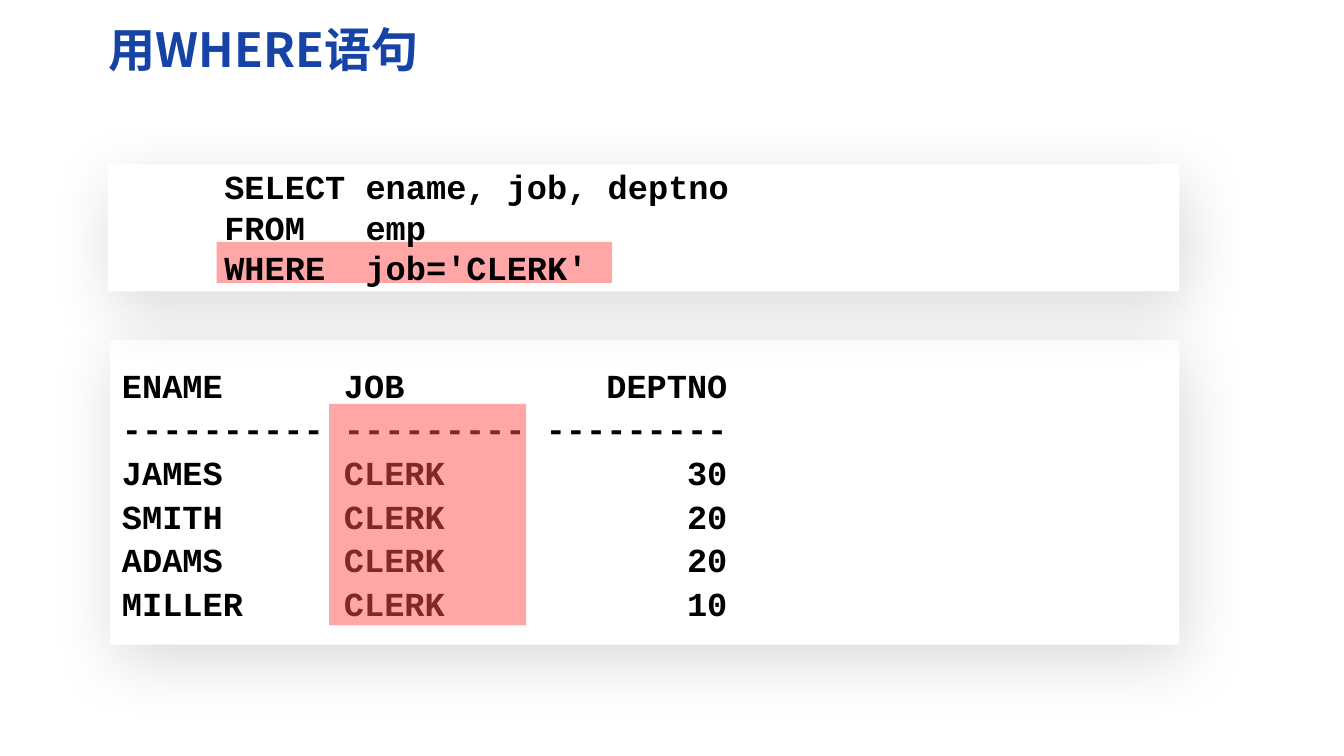
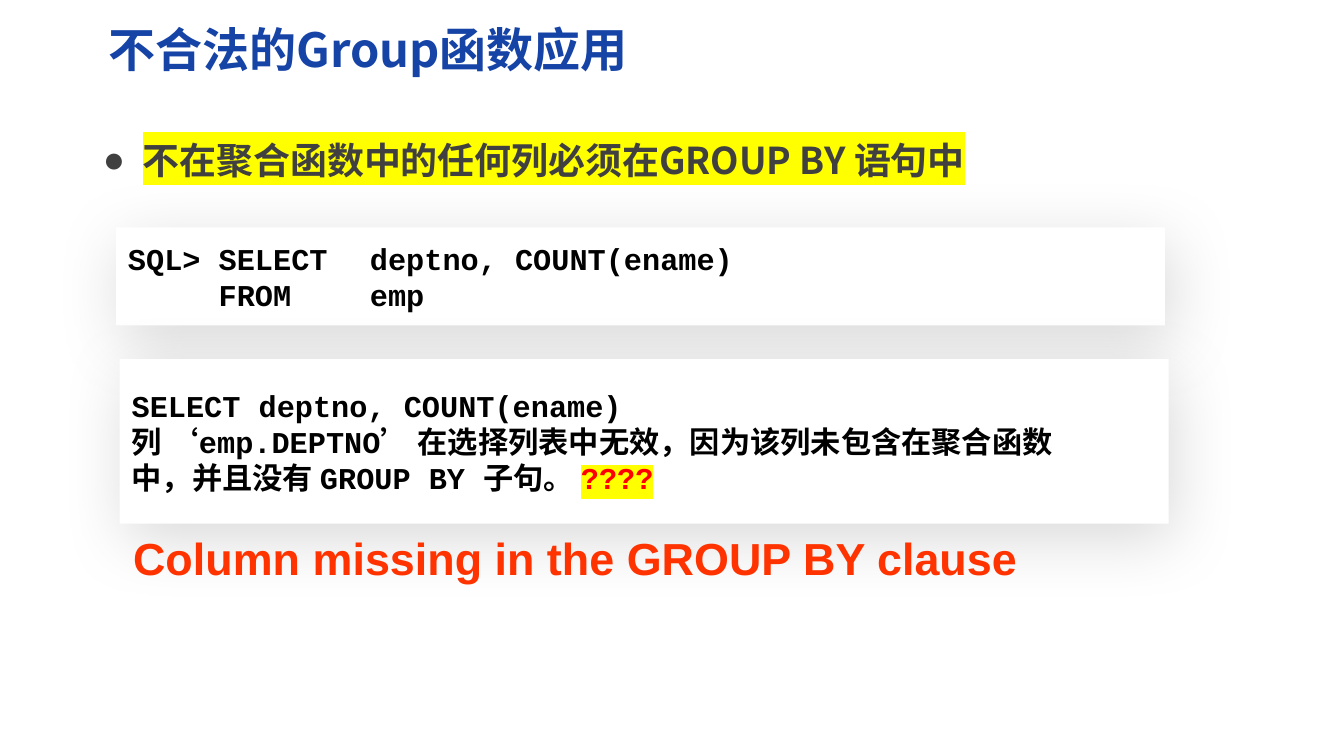
import pptx
import pptx.util
import pptx.dml.color
import pptx.enum.shapes
import pptx.enum.text
import pptx.oxml
import pptx.oxml.ns
from lxml import etree

Inches, Pt = pptx.util.Inches, pptx.util.Pt
qn = pptx.oxml.ns.qn
ANCHOR = pptx.enum.text.MSO_ANCHOR
LEFT = pptx.enum.text.PP_ALIGN.LEFT

COLORS = {
    "title": "1543A6", "body": "404040", "code": "000000", "panel": "FFFFFF",
    "mark": "FF5050", "highlight": "FFFF00", "error": "FF0000", "note": "FF3300",
}
CJK, MONO, SANS = "Noto Sans CJK SC", "Courier New", "Arial"
TITLE_ONLY, TITLE_BODY = 5, 1


def rgb(name):
    return pptx.dml.color.RGBColor.from_string(COLORS[name])


def sub(parent, tag, **attrs):
    return etree.SubElement(parent, qn(tag), attrs)


def set_font(p, size, color, name):
    """Bold text in one face, with a common face for Chinese characters."""
    p.alignment = LEFT
    font = p.font
    font.size, font.bold = Pt(size), True
    font.color.rgb = rgb(color)
    font.name = name
    sub(p._p.pPr.find(qn("a:defRPr")), "a:ea", typeface=CJK)


def highlight(r):
    mark = sub(r._r.get_or_add_rPr(), "a:highlight")
    sub(mark, "a:srgbClr", val=COLORS["highlight"])


def place(sp, box):
    sp.left, sp.top, sp.width, sp.height = map(Inches, box)


def set_frame(sp, anchor, inset_x=0.1, inset_y=0.05):
    tf = sp.text_frame
    tf.word_wrap = True
    tf.auto_size = pptx.enum.text.MSO_AUTO_SIZE.NONE
    tf.vertical_anchor = anchor
    tf.margin_left = tf.margin_right = Inches(inset_x)
    tf.margin_top = tf.margin_bottom = Inches(inset_y)
    return tf


def write_lines(tf, lines, size, color="code", name=MONO, spacing=None, tab=None):
    for i, line in enumerate(lines):
        p = tf.paragraphs[0] if i == 0 else tf.add_paragraph()
        p.add_run().text = line
        if spacing:
            p.line_spacing = Pt(spacing)
        if tab:
            tabs = sub(p._p.get_or_add_pPr(), "a:tabLst")
            sub(tabs, "a:tab", pos=str(Inches(tab)), algn="l")
        set_font(p, size, color, name)


def add_rect(s, box, color):
    sp = s.shapes.add_shape(pptx.enum.shapes.MSO_SHAPE.RECTANGLE, *map(Inches, box))
    sp.shadow.inherit = False
    sp.fill.solid()
    sp.fill.fore_color.rgb = rgb(color)
    sp.line.fill.background()
    return sp


def add_panel(s, box, lines=(), size=20, **style):
    """White card with a soft shadow and optional code text."""
    sp = add_rect(s, box, "panel")
    shadow = sub(sp._element.spPr.find(qn("a:effectLst")), "a:outerShdw",
                 blurRad=str(Pt(40)), dist=str(Pt(10)), dir=str(70 * 60000),
                 algn="ctr", rotWithShape="0")
    sub(sub(shadow, "a:srgbClr", val=COLORS["code"]), "a:alpha", val="15000")
    tf = set_frame(sp, ANCHOR.MIDDLE)
    write_lines(tf, lines, size, **style)
    return sp


def add_mark(s, box):
    """Half-transparent red marker."""
    sp = add_rect(s, box, "mark")
    sub(sp._element.spPr.find(qn("a:solidFill"))[0], "a:alpha", val="50000")


def add_text(s, box, lines, size, anchor=ANCHOR.TOP, **style):
    sp = s.shapes.add_textbox(*map(Inches, box))
    write_lines(set_frame(sp, anchor, 0.11, 0.06), lines, size, **style)


def add_slide(prs, layout, title):
    s = prs.slides.add_slide(prs.slide_layouts[layout])
    sp = s.shapes.title
    place(sp, (0.79, 0.12, 9.81, 0.57))
    write_lines(set_frame(sp, ANCHOR.MIDDLE, 0.11, 0.06), [title], 28, "title", CJK)
    return s


def fill_body(sp, box, text):
    """Single highlighted bullet."""
    place(sp, box)
    p = set_frame(sp, ANCHOR.TOP).paragraphs[0]
    r = p.add_run()
    r.text = text
    highlight(r)
    p.line_spacing, p.space_before = 1.3, Pt(0)
    pPr = p._p.get_or_add_pPr()
    pPr.set("marL", str(Inches(0.33)))
    pPr.set("indent", str(-Inches(0.33)))
    sub(pPr, "a:buChar", char="●")
    set_font(p, 22, "body", CJK)


def build_where(prs):
    s = add_slide(prs, TITLE_ONLY, "用WHERE语句")
    # Query result and query cards
    add_panel(s, (0.91, 2.81, 8.84, 2.52), [
        "ENAME      JOB          DEPTNO",
        "---------- --------- ---------",
        "JAMES      CLERK            30",
        "SMITH      CLERK            20",
        "ADAMS      CLERK            20",
        "MILLER     CLERK            10",
    ], spacing=26)
    add_panel(s, (0.89, 1.36, 8.86, 1.05))
    # Markers on the condition and the matching column
    add_mark(s, (1.79, 2, 3.27, 0.34))
    add_mark(s, (2.72, 3.34, 1.63, 1.83))
    # Query text above its marker
    add_text(s, (0.91, 1.4, 8.89, 0.95), [
        "     SELECT ename, job, deptno",
        "     FROM   emp",
        "     WHERE  job='CLERK'",
    ], 20, ANCHOR.MIDDLE)


def build_group(prs):
    s = add_slide(prs, TITLE_BODY, "不合法的Group函数应用")
    fill_body(s.placeholders[1], (0.75, 0.98, 9.84, 0.75),
              "不在聚合函数中的任何列必须在GROUP BY 语句中")
    # Query
    add_panel(s, (0.96, 1.88, 8.67, 0.81), [
        "SQL> SELECT\tdeptno, COUNT(ename)",
        "     FROM\temp",
    ], 18, tab=2)
    # Error message
    sp = add_panel(s, (0.99, 2.97, 8.67, 1.36), [
        "SELECT deptno, COUNT(ename)",
        "列 ‘emp.DEPTNO’ 在选择列表中无效，因为该列未包含在聚合函数",
        "中，并且没有 GROUP BY 子句。 ",
    ], 18)
    r = sp.text_frame.paragraphs[-1].add_run()
    r.text = "????"
    r.font.color.rgb = rgb("error")
    highlight(r)
    # Explanation
    add_text(s, (0.99, 4.33, 8.35, 0.56), ["Column missing in the GROUP BY clause"],
             26.7, color="note", name=SANS)


def main():
    prs = pptx.Presentation()
    prs.slide_width, prs.slide_height = Inches(11.11), Inches(6.25)
    build_where(prs)
    build_group(prs)
    prs.save("out.pptx")


if __name__ == "__main__":
    main()
